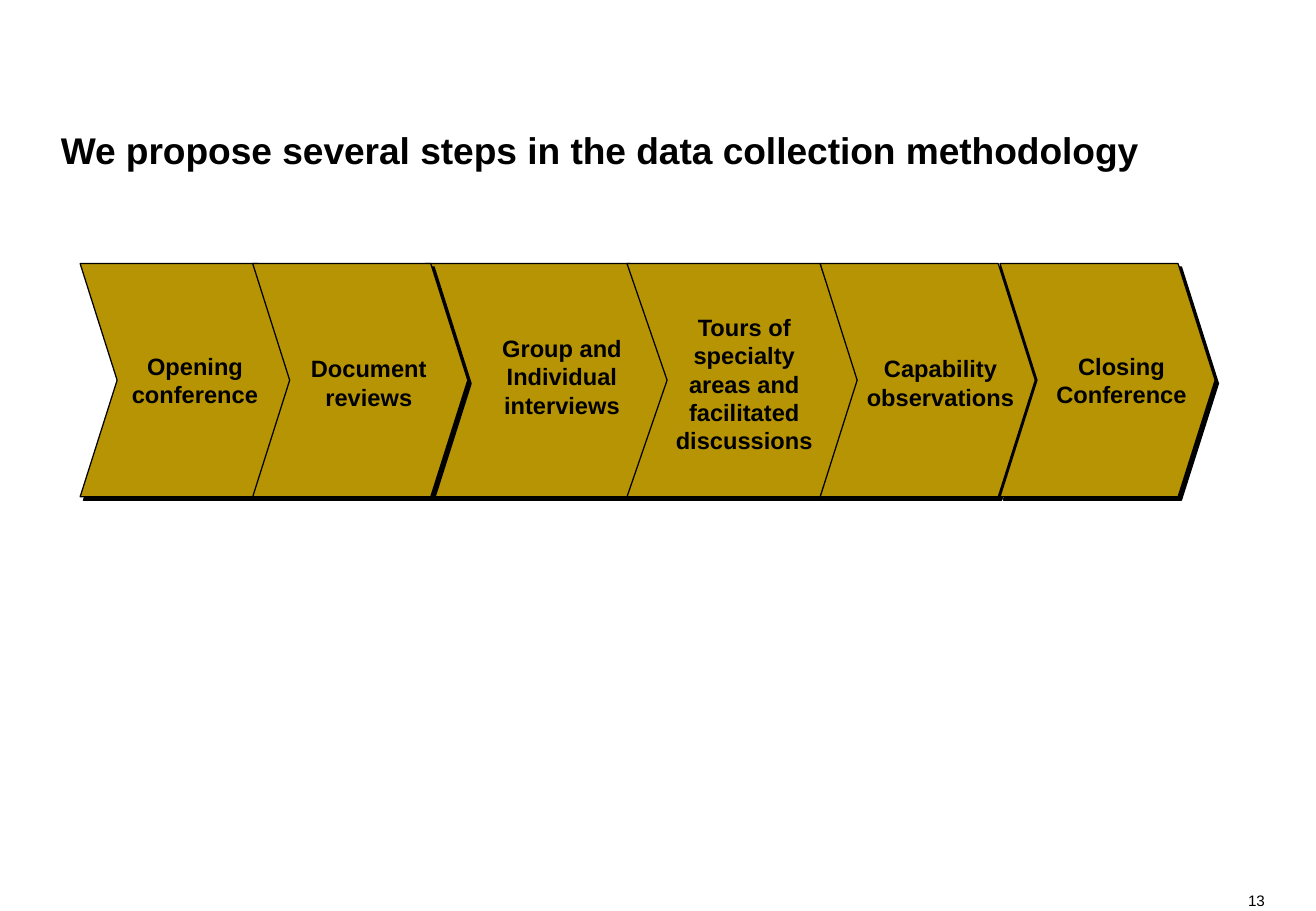
from lxml import etree
from pptx import Presentation
from pptx.dml.color import RGBColor
from pptx.enum import shapes, text
from pptx.oxml.ns import qn
from pptx.util import Inches, Pt

GOLD = RGBColor(0xB6, 0x94, 0x04)
BLACK = RGBColor(0, 0, 0)

TOP, HEIGHT = 2.17, 1.92
LABEL_MIDDLE = 3.14

# Back to front: chevron left, width, point; label, its left, width, middle
STEPS = [
    (0.66, 1.77, 0.172, "Opening conference", 0.98, 1.25, 3.13),
    (3.5, 2.04, 0.183, "Group and Individual interviews", 4, 1.25, 3.1),
    (5.16, 1.92, 0.172, "Tours of specialty areas and facilitated discussions", 5.5, 1.25, 3.16),
    (2.08, 1.77, 0.172, "Document reviews", 2.41, 1.25, 3.15),
    (6.75, 1.77, 0.172, "Capability observations", 7.08, 1.32, 3.15),
    (8.23, 1.77, 0.172, "Closing Conference", 8.57, 1.32, 3.13),
]
LABEL_HEIGHT = 1.16


def set_text(tf, words, size, bold, align, anchor):
    tf.text = words
    tf.margin_left = tf.margin_right = tf.margin_top = tf.margin_bottom = 0
    tf.vertical_anchor = anchor
    tf.auto_size = text.MSO_AUTO_SIZE.NONE
    p = tf.paragraphs[0]
    p.alignment = align
    font = p.runs[0].font
    font.name, font.size, font.bold = "Arial", Pt(size), bold
    font.color.rgb = BLACK


def add_hard_shadow(sp):
    """Solid black shadow without blur, down and to the right."""
    sp.shadow.inherit = False
    effects = sp._element.spPr.find(qn("a:effectLst"))
    shadow = etree.SubElement(effects, qn("a:outerShdw"), blurRad="0",
                              dist=str(Pt(2.8)), dir=str(45 * 60000),
                              algn="ctr", rotWithShape="0")
    etree.SubElement(shadow, qn("a:srgbClr"), val=str(BLACK))


prs = Presentation()
prs.slide_width, prs.slide_height = Inches(10.83), Inches(7.5)
s = prs.slides.add_slide(prs.slide_layouts[5])

title = s.shapes.title
title.left, title.top = Inches(0.5), Inches(0.92)
title.width, title.height = Inches(9.83), Inches(0.5)
set_text(title.text_frame, "We propose several steps in the data collection methodology",
         22, True, text.PP_ALIGN.LEFT, text.MSO_ANCHOR.BOTTOM)
title.text_frame.paragraphs[0].line_spacing = 0.9

for left, width, point, *_ in STEPS:
    chevron = s.shapes.add_shape(shapes.MSO_SHAPE.CHEVRON, Inches(left), Inches(TOP),
                                 Inches(width), Inches(HEIGHT))
    chevron.adjustments[0] = point
    chevron.fill.solid()
    chevron.fill.fore_color.rgb = GOLD
    chevron.line.color.rgb = BLACK
    chevron.line.width = Pt(0.75)
    add_hard_shadow(chevron)

for *_, words, left, width, middle in STEPS:
    label = s.shapes.add_textbox(Inches(left), Inches(middle - LABEL_HEIGHT / 2),
                                 Inches(width), Inches(LABEL_HEIGHT))
    label.text_frame.word_wrap = True
    set_text(label.text_frame, words, 14, True, text.PP_ALIGN.CENTER, text.MSO_ANCHOR.MIDDLE)

number = s.shapes.add_textbox(Inches(10.26), Inches(7.34), Inches(0.15), Inches(0.15))
number.text_frame.word_wrap = False
set_text(number.text_frame, "13", 9, False, text.PP_ALIGN.RIGHT, text.MSO_ANCHOR.TOP)

prs.save("out.pptx")
